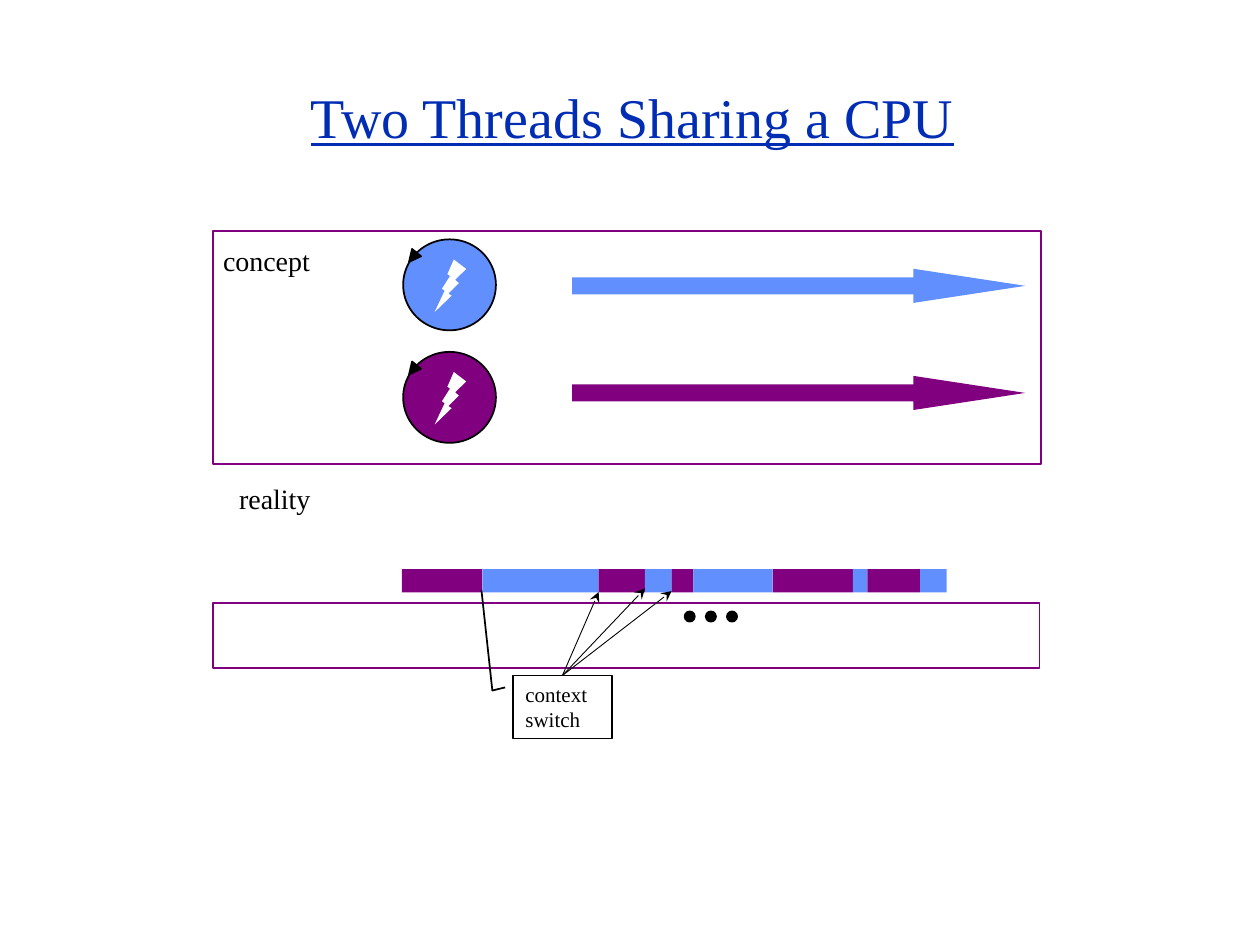
import itertools
from dataclasses import dataclass

import pptx
import pptx.dml.color
import pptx.enum.shapes
import pptx.enum.text
import pptx.oxml
import pptx.oxml.ns
import pptx.util
from pptx.util import Pt

SHAPE = pptx.enum.shapes.MSO_SHAPE


@dataclass(frozen=True)
class Theme:
    font: str = "Times New Roman"
    title: str = "002DB4"
    ink: str = "000000"
    paper: str = "FFFFFF"
    blue: str = "618FFD"
    purple: str = "800080"
    title_size: float = 32
    label_size: float = 16
    note_size: float = 12
    outline: float = 1
    pointer: float = 0.5


THEME = Theme()


def rgb(color):
    return pptx.dml.color.RGBColor.from_string(color)


def style_text(frame, size, color, underline=None):
    for paragraph in frame.paragraphs:
        for run in paragraph.runs:
            run.font.name = THEME.font
            run.font.size = Pt(size)
            run.font.color.rgb = rgb(color)
            run.font.underline = underline


def add_part(shapes, kind, box, fill, outline=None):
    part = shapes.add_shape(kind, *map(Pt, box))
    part.shadow.inherit = False
    part.fill.solid()
    part.fill.fore_color.rgb = rgb(fill)
    if outline:
        part.line.color.rgb = rgb(outline)
        part.line.width = Pt(THEME.outline)
    else:
        part.line.fill.background()
    return part


def add_label(slide, text, box):
    label = slide.shapes.add_textbox(*map(Pt, box))
    label.text_frame.word_wrap = False
    label.text_frame.text = text
    style_text(label.text_frame, THEME.label_size, THEME.ink)


def add_title(slide, box):
    title = slide.shapes.title
    title.left, title.top, title.width, title.height = map(Pt, box)
    frame = title.text_frame
    frame.text = "Two Threads Sharing a CPU"
    frame.vertical_anchor = pptx.enum.text.MSO_ANCHOR.MIDDLE
    frame.paragraphs[0].alignment = pptx.enum.text.PP_ALIGN.CENTER
    style_text(frame, THEME.title_size, THEME.title, True)


def add_thread(shapes, box, color):
    left, top, width, height = box
    add_part(shapes, SHAPE.OVAL, box, color, THEME.ink)
    bolt_box = (left + 18, top + 11.5, width - 35, height - 22)
    bolt = add_part(shapes, SHAPE.LIGHTNING_BOLT, bolt_box, THEME.paper)
    bolt._element.spPr.find(pptx.oxml.ns.qn("a:xfrm")).set("flipH", "1")
    head_box = (left + 2.2, top + 6.8, 6.6, 6.8)
    head = add_part(shapes, SHAPE.ISOSCELES_TRIANGLE, head_box, THEME.ink, THEME.ink)
    head.rotation = 219


def add_concept(slide, box):
    left, top, width, height = box
    add_part(slide.shapes, SHAPE.RECTANGLE, box, THEME.paper, THEME.purple)
    threads = slide.shapes.add_group_shape().shapes
    for row, color in enumerate((THEME.blue, THEME.purple)):
        add_thread(threads, (left + 108.5, top + 4.8 + 64.3 * row, 53, 52), color)
        arrow_box = (left + 205, top + 21.6 + 61.2 * row, 259, 19.5)
        arrow = add_part(threads, SHAPE.RIGHT_ARROW, arrow_box, color)
        arrow.adjustments[1] = 3.28
    add_label(slide, "concept", (left - 1.5, top + 3.6, 64, 26.6))


def add_timeline(slide, box, slices):
    left, top, width, height = box
    edges = [left + run for run in itertools.accumulate(slices, initial=0)]
    timeline = slide.shapes.add_group_shape().shapes
    colors = itertools.cycle((THEME.purple, THEME.blue))
    for start, length, color in zip(edges, slices, colors):
        add_part(timeline, SHAPE.RECTANGLE, (start, top, length, height), color)
    return edges


def add_context_switch(slide, box, switches):
    left, top, width, height = box
    note = add_part(slide.shapes, SHAPE.LINE_CALLOUT_2, box, THEME.paper, THEME.ink)
    for index, value in enumerate((0.19, -0.08, 0.24, -0.21, -1.35, -0.32)):
        note.adjustments[index] = value
    note.text_frame.word_wrap = True
    note.text_frame.vertical_anchor = pptx.enum.text.MSO_ANCHOR.TOP
    note.text_frame.text = "context switch"
    note.text_frame.paragraphs[0].alignment = pptx.enum.text.PP_ALIGN.LEFT
    style_text(note.text_frame, THEME.note_size, THEME.ink)
    for switch_x, switch_y in switches:
        pointer = slide.shapes.add_connector(
            pptx.enum.shapes.MSO_CONNECTOR.STRAIGHT,
            Pt(left + width / 2), Pt(top), Pt(switch_x), Pt(switch_y))
        pointer.line.color.rgb = rgb(THEME.ink)
        pointer.line.width = Pt(THEME.pointer)
        outline = pointer.line._get_or_add_ln()
        pptx.oxml.ns.qn("a:tailEnd")
        tail = outline.makeelement(pptx.oxml.ns.qn("a:tailEnd"), {"type": "stealth"})
        outline.append(tail)
        properties = pointer._element.spPr
        properties.append(properties.makeelement(pptx.oxml.ns.qn("a:effectLst"), {}))


def add_reality(slide, box):
    left, top, width, height = box
    add_part(slide.shapes, SHAPE.RECTANGLE, box, THEME.paper, THEME.purple)
    add_label(slide, "reality", (left + 7.9, top - 73.4, 55, 26.6))
    slices = (45.9, 66.5, 26.5, 15.2, 12.5, 45.3, 45.8, 8.2, 30.2, 15.2)
    edges = add_timeline(slide, (left + 108, top - 19.5, sum(slices), 13.2), slices)
    switches = zip(edges[2:5], (top - 6.5, top - 8.5, top - 7))
    add_context_switch(slide, (left + 171.5, top + 41.2, 56.4, 36), switches)
    for dot in range(3):
        dot_box = (left + 269.5 + 12.1 * dot, top + 4.6, 5.8, 5.8)
        add_part(slide.shapes, SHAPE.OVAL, dot_box, THEME.ink, THEME.ink)


def main():
    deck = pptx.Presentation()
    deck.slide_width, deck.slide_height = Pt(720), Pt(540)
    slide = deck.slides.add_slide(deck.slide_layouts[5])
    add_title(slide, (55.4, 33.1, 612, 66.2))
    add_reality(slide, (121.7, 344.8, 472.3, 36.9))
    add_concept(slide, (121.9, 132, 473, 133))
    deck.save("out.pptx")


if __name__ == "__main__":
    main()
